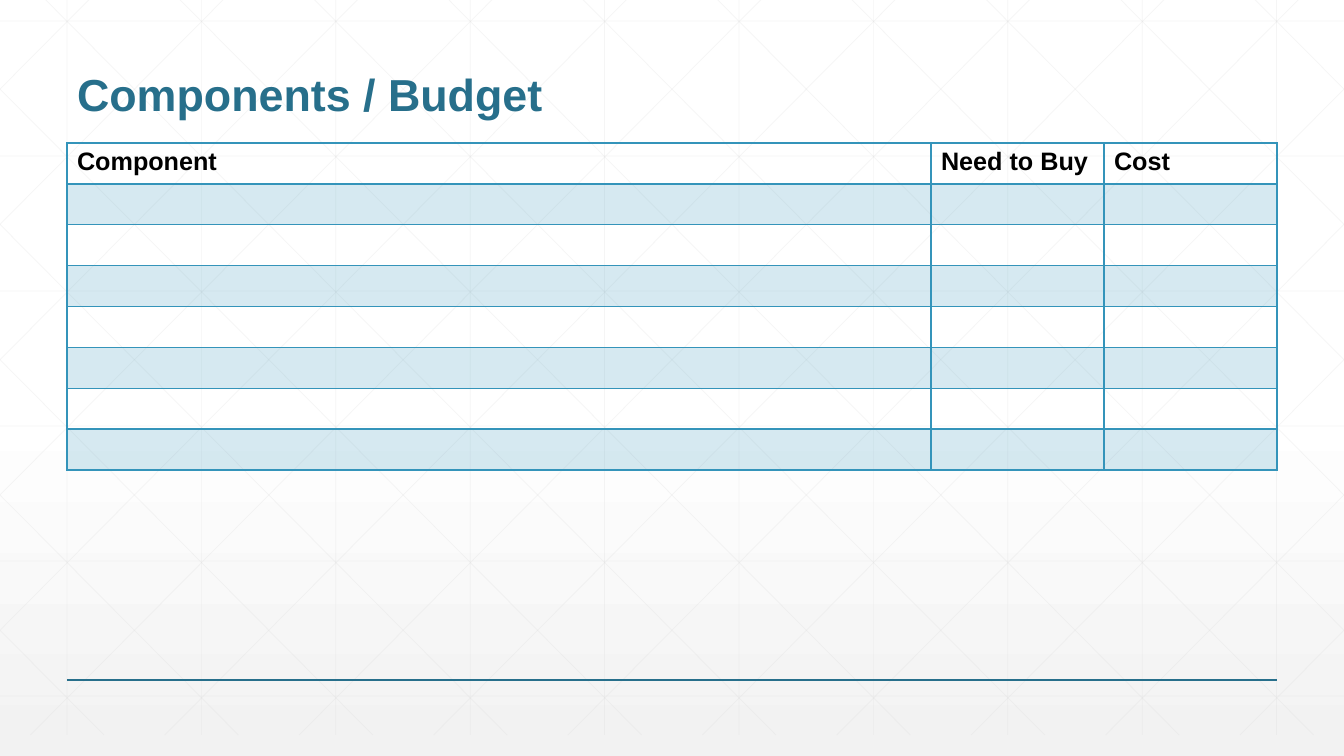
from pptx import Presentation, util as u
from pptx.dml.color import RGBColor
from pptx.enum import shapes, text
from pptx.oxml import parse_xml
from pptx.oxml.ns import nsdecls, qn
from lxml import etree

# Content
TITLE = "Components / Budget"
COLUMNS = [("Component", 864), ("Need to Buy", 173), ("Cost", 173)]
BLANK_ROWS = 7

THEME = {
    "font": "Arial", "title_size": 32, "table_size": 18,
    "title": "276F8B", "accent": "3494BA", "text": "000000",
    "grid": "D9D9D9", "top": "FFFFFF", "bottom": "F2F2F2",
}

# Layout in pixels
WIDTH, HEIGHT = 1344, 756
MARGIN, CONTENT_WIDTH = 67, 1210
TITLE_TOP, TITLE_HEIGHT = 25, 101
TABLE_TOP, TABLE_HEIGHT = 143, 327
FOOTER_Y = 680
GRID_TOP, GRID_BOTTOM = -21, 735
GRID_STEP = WIDTH / 10
ROW_START, ROW_STEP = 21, 135
DIAGONAL_START, DIAGONAL_RUN = 25, 751


def px(length):
    return u.Emu(round(length * 914400 / 100.8))


def color(name):
    return RGBColor.from_string(THEME[name])


def set_alpha(fill_owner, percent):
    srgb = fill_owner.find(".//" + qn("a:srgbClr"))
    etree.SubElement(srgb, qn("a:alpha")).set("val", str(percent * 1000))


def add_line(parent, start, end, name, width, alpha=None):
    line = parent.add_connector(shapes.MSO_CONNECTOR.STRAIGHT,
                                *map(px, (*start, *end)))
    line.line.color.rgb = color(name)
    line.line.width = u.Pt(width)
    properties = line._element.spPr
    if alpha:
        set_alpha(properties, alpha)
    etree.SubElement(properties, qn("a:effectLst"))


def add_run(paragraph, words, name, size):
    run = paragraph.add_run()
    run.text = words
    run.font.name = THEME["font"]
    run.font.size = u.Pt(THEME[size])
    run.font.bold = True
    run.font.color.rgb = color(name)


def set_borders(cell, widths):
    properties = cell._tc.get_or_add_tcPr()
    for side, width in widths.items():
        properties.append(parse_xml(
            f'<a:ln{side} {nsdecls("a")} w="{u.Pt(width)}"><a:solidFill>'
            f'<a:srgbClr val="{THEME["accent"]}"/></a:solidFill></a:ln{side}>'))


def grid_lines():
    for i in range(10):
        x = MARGIN + i * GRID_STEP
        yield (x, GRID_TOP), (x, GRID_BOTTOM)
    for i in range(6):
        y = ROW_START + i * ROW_STEP
        yield (0, y), (WIDTH, y)
    # Diagonals end at the slide's sides; each has a mirrored twin
    slope = (GRID_BOTTOM - GRID_TOP) / DIAGONAL_RUN
    for i in range(-5, 10):
        x = DIAGONAL_START + i * GRID_STEP
        left, right = max(x, 0), min(x + DIAGONAL_RUN, WIDTH)
        y1, y2 = (GRID_TOP + (edge - x) * slope for edge in (left, right))
        yield (left, y1), (right, y2)
        yield (WIDTH - left, y1), (WIDTH - right, y2)


prs = Presentation()
prs.slide_width, prs.slide_height = px(WIDTH), px(HEIGHT)
slide = prs.slides.add_slide(prs.slide_layouts[5])

# Background
backdrop = slide.background.fill
backdrop.gradient()
backdrop.gradient_angle = 270
for stop, (position, name) in zip(backdrop.gradient_stops,
                                  [(0.53, "top"), (1, "bottom")]):
    stop.position = position
    stop.color.rgb = color(name)

# Grid and footer rule
grid = slide.shapes.add_group_shape()
for start, end in grid_lines():
    add_line(grid.shapes, start, end, "grid", 0.5, alpha=25)
add_line(slide.shapes, (MARGIN, FOOTER_Y), (MARGIN + CONTENT_WIDTH, FOOTER_Y),
         "title", 1)

# Title, brought in front of the grid
title = slide.shapes.title
slide.shapes._spTree.append(title._element)
title.left, title.top = px(MARGIN), px(TITLE_TOP)
title.width, title.height = px(CONTENT_WIDTH), px(TITLE_HEIGHT)
title.text_frame.vertical_anchor = text.MSO_ANCHOR.BOTTOM
heading = title.text_frame.paragraphs[0]
heading.alignment = text.PP_ALIGN.LEFT
heading.line_spacing = 0.9
add_run(heading, TITLE, "title", "title_size")

# Budget table
row_count = BLANK_ROWS + 1
budget = slide.shapes.add_table(
    row_count, len(COLUMNS), px(MARGIN), px(TABLE_TOP),
    px(CONTENT_WIDTH), px(TABLE_HEIGHT)).table
budget.first_row = budget.horz_banding = False
for column, (label, width) in zip(budget.columns, COLUMNS):
    column.width = px(width)
for r, row in enumerate(budget.rows):
    row.height = px(TABLE_HEIGHT / row_count)
    for cell, (label, width) in zip(row.cells, COLUMNS):
        set_borders(cell, {"L": 1, "R": 1, "T": 2 if r == 1 else 1,
                           "B": 2 if r == 0 else 1})
        if r % 2:
            cell.fill.solid()
            cell.fill.fore_color.rgb = color("accent")
            set_alpha(cell._tc.tcPr.find(qn("a:solidFill")), 20)
        else:
            cell.fill.background()
        if r == 0:
            add_run(cell.text_frame.paragraphs[0], label, "text", "table_size")

prs.save("out.pptx")
